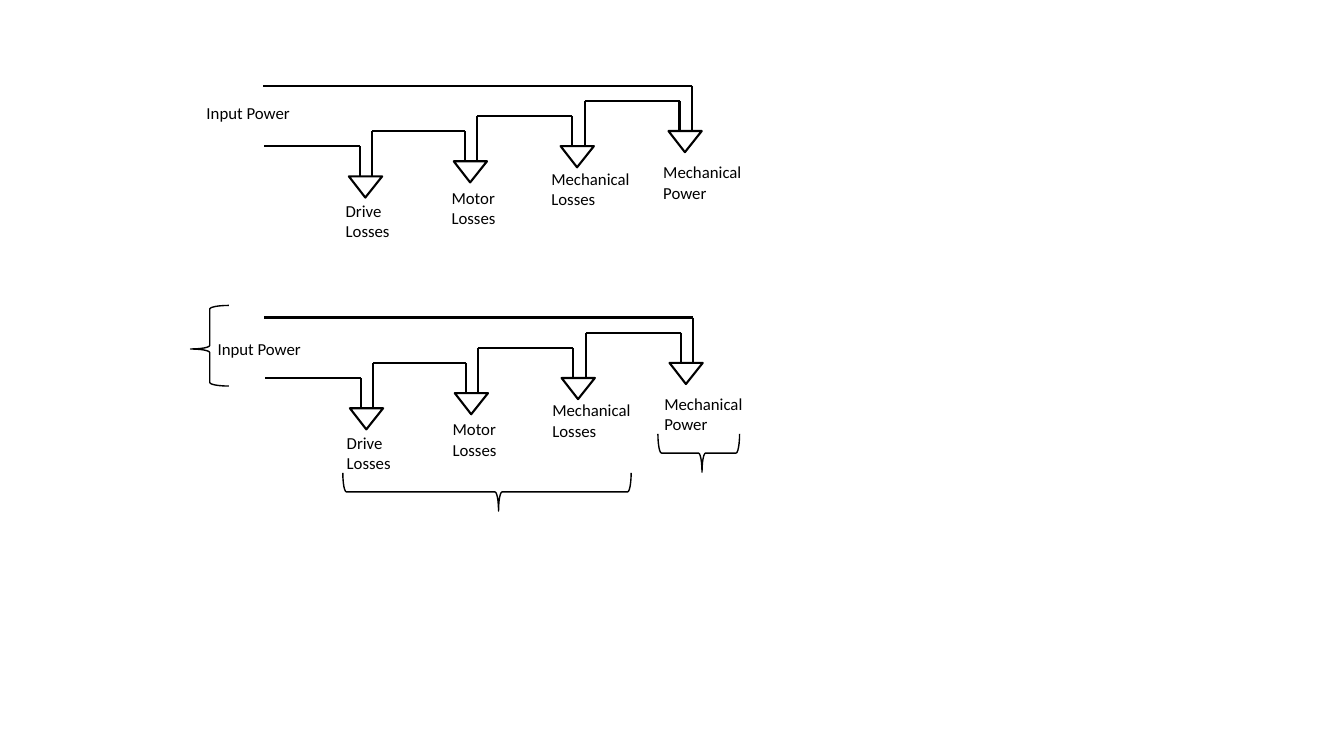
from dataclasses import dataclass

from lxml import etree
from pptx import Presentation
from pptx.dml.color import RGBColor
from pptx.enum.shapes import MSO_CONNECTOR, MSO_SHAPE
from pptx.enum.text import MSO_AUTO_SIZE
from pptx.oxml.ns import qn
from pptx.util import Emu, Pt

SCALE = 9144  # EMU per px, 100 px to the inch
BLACK = "000000"
STEP, DROP = 15, 30  # rise between branches, fall of each branch
BASE, START = 145, 262  # lowest wire of a flow and its left end


@dataclass
class Branch:
    name: tuple[str, str]
    left: int
    right: int
    text_x: int
    text_y: int
    width: int


@dataclass
class Flow:
    x: int
    y: int
    input_x: int
    input_y: int


@dataclass
class Brace:
    x: int
    y: int
    width: int
    height: int
    turn: int


BRANCHES = [
    Branch(("Drive", "Losses"), 357, 369, 333, 194, 119),
    Branch(("Motor", "Losses"), 461, 473, 438, 181, 119),
    Branch(("Mechanical", "Losses"), 567, 580, 537, 162, 170),
    Branch(("Mechanical", "Power"), 674, 686, 648, 156, 170),
]
FLOWS = [Flow(0, 0, 195, 97), Flow(1, 230, 206, 331)]
BRACES = [
    Brace(464, 345, 38, 286, 90),
    Brace(674, 409, 38, 81, 90),
    Brace(189, 303, 38, 80, 180),
]

deck = Presentation()
deck.slide_width, deck.slide_height = Emu(1333 * SCALE), Emu(750 * SCALE)
slide = deck.slides.add_slide(deck.slide_layouts[6])
shapes = slide.shapes


def px(*sizes: int) -> list[Emu]:
    return [Emu(size * SCALE) for size in sizes]


def color(code: str) -> RGBColor:
    return RGBColor.from_string(code)


def wire(x1: int, y1: int, x2: int, y2: int) -> None:
    line = shapes.add_connector(MSO_CONNECTOR.STRAIGHT, *px(x1, y1, x2, y2))
    line.line.color.rgb = color(BLACK)
    line.line.width = Pt(1.5)
    etree.SubElement(line._element.spPr, qn("a:effectLst"))


def outline(kind: MSO_SHAPE, x: int, y: int, width: int, height: int,
            turn: int, weight: float, adjusts: list[float]) -> None:
    shape = shapes.add_shape(kind, *px(x, y, width, height))
    shape.rotation = turn
    shape.shadow.inherit = False
    shape.fill.background()
    shape.line.color.rgb = color(BLACK)
    shape.line.width = Pt(weight)
    for i, value in enumerate(adjusts):
        shape.adjustments[i] = value


def label(rows: tuple[str, ...], x: int, y: int, width: int, height: int) -> None:
    frame = shapes.add_textbox(*px(x, y, width, height)).text_frame
    frame.word_wrap = True
    frame.auto_size = MSO_AUTO_SIZE.SHAPE_TO_FIT_TEXT
    frame.text = "\n".join(rows)
    for row in frame.paragraphs:
        row.font.name = "Calibri"
        row.font.size = Pt(12)
        row.font.color.rgb = color(BLACK)


def draw_flow(flow: Flow) -> None:
    # Upper edge and input label
    x, y = flow.x, flow.y
    top = y + BASE - STEP * len(BRANCHES)
    wire(x + START - 1, top, x + BRANCHES[-1].right, top)
    label(("Input Power",), flow.input_x, flow.input_y, 183, 30)

    # Each branch: wire in, two sides, arrow tip, label
    start = x + START
    for i, branch in enumerate(BRANCHES):
        bend = y + BASE - STEP * i
        tip = bend + DROP
        left, right = x + branch.left, x + branch.right
        wire(start, bend, left, bend)
        wire(left, bend, left, tip)
        wire(right, bend - STEP, right, tip)
        outline(MSO_SHAPE.ISOSCELES_TRIANGLE, left - 11, tip, 33, 21,
                180, 1.5, [0.506])
        label(branch.name, x + branch.text_x, y + branch.text_y,
              branch.width, 50)
        start = right


for flow in FLOWS:
    draw_flow(flow)

# Braces around the lower flow
for brace in BRACES:
    outline(MSO_SHAPE.RIGHT_BRACE, brace.x, brace.y, brace.width, brace.height,
            brace.turn, 1, [0.093, 0.46])

deck.save("out.pptx")
